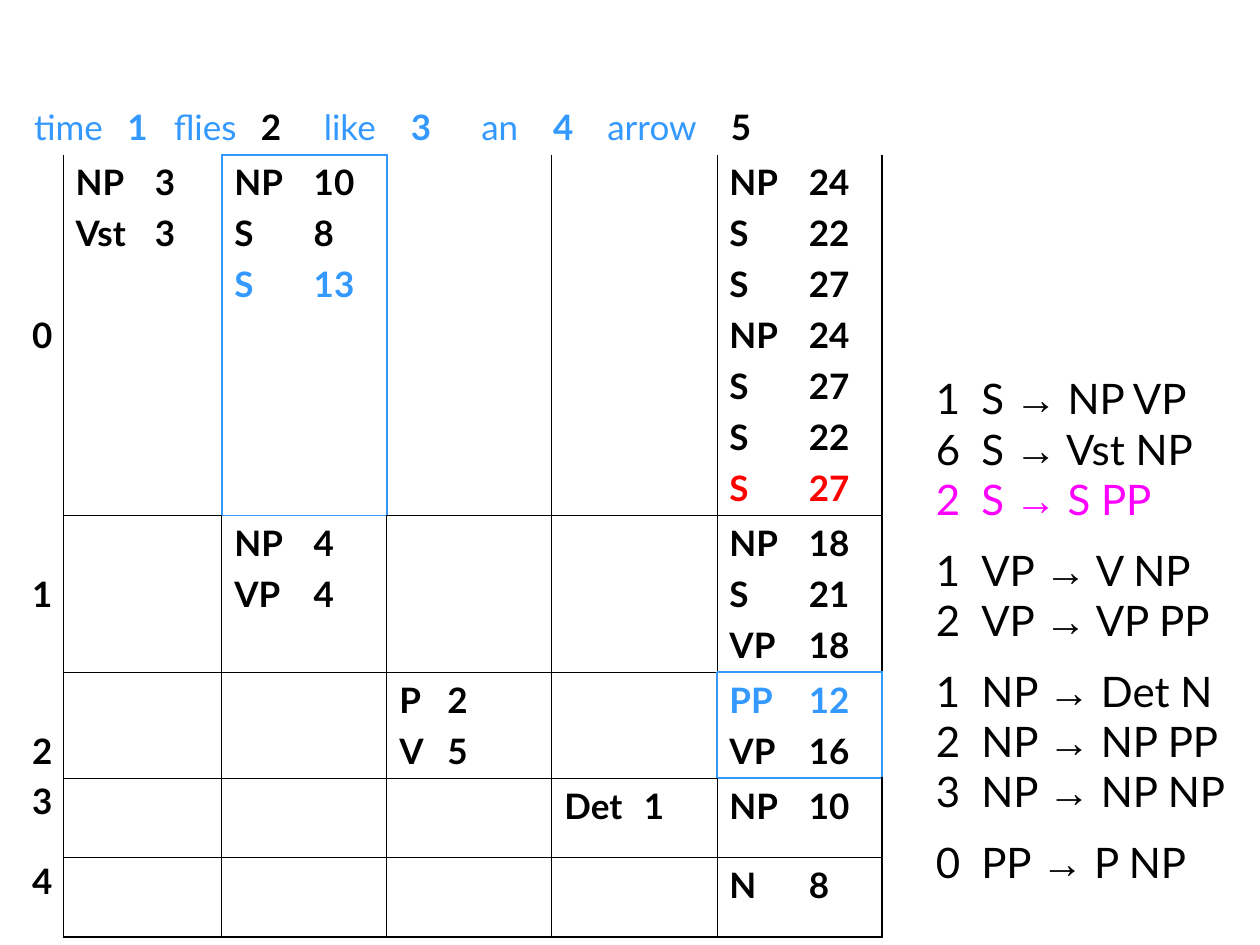
from lxml import etree
from pptx import Presentation
from pptx.dml.color import RGBColor
from pptx.enum.text import MSO_ANCHOR, MSO_AUTO_SIZE, PP_ALIGN
from pptx.oxml.ns import qn
from pptx.util import Inches, Pt

TOP, MIDDLE, BOTTOM = MSO_ANCHOR.TOP, MSO_ANCHOR.MIDDLE, MSO_ANCHOR.BOTTOM
CENTER = PP_ALIGN.CENTER
FIT_SHAPE = MSO_AUTO_SIZE.SHAPE_TO_FIT_TEXT
BLACK, BLUE, RED, PINK = "000000", "3399FF", "FF0000", "FF00FF"
THIN, THICK = 0.45, 1.08
NO_STYLE = "{2D5ABB26-0587-4C30-8999-92F81FD0307C}"

# Sentence: words and positions as (text, tab stop, bold, colour)
SENTENCE = [
    ("time", 0, False, BLUE), ("1", 0.74, True, BLUE),
    ("flies", 1.11, False, BLUE), ("2", 1.8, True, BLACK),
    ("like", 2.3, False, BLUE), ("3", 2.99, True, BLUE),
    ("an", 3.55, False, BLUE), ("4", 4.12, True, BLUE),
    ("arrow", 4.55, False, BLUE), ("5", 5.53, True, BLACK),
]
COLS = [0.33, 1.26, 1.31, 1.31, 1.31, 1.31]
ROWS = [0.44, 2.86, 1.24, 0.84, 0.63, 0.63]
# Row labels: text, anchor, line spacing
LABELS = [("0", MIDDLE, 1.0), ("1", MIDDLE, 1.0), ("2", BOTTOM, 1.0),
          ("3", TOP, 0.9), ("4", TOP, 0.9)]
# Parse chart: (row, column) -> entries of (category, weight[, colour])
CHART = {
    (1, 1): [("NP", 3), ("Vst", 3)],
    (1, 2): [("NP", 10), ("S", 8), ("S", 13, BLUE)],
    (1, 5): [("NP", 24), ("S", 22), ("S", 27), ("NP", 24), ("S", 27),
             ("S", 22), ("S", 27, RED)],
    (2, 2): [("NP", 4), ("VP", 4)],
    (2, 5): [("NP", 18), ("S", 21), ("VP", 18)],
    (3, 3): [("P", 2), ("V", 5)],
    (3, 5): [("PP", 12, BLUE), ("VP", 16)],
    (4, 4): [("Det", 1)],
    (4, 5): [("NP", 10)],
    (5, 5): [("N", 8)],
}
NARROW_CELL = (3, 3)
HIGHLIGHTED = [(1, 2), (3, 5)]
# Grammar, in groups: weight, left side, right side, colour
GRAMMAR = [
    [("1", "S", "NP VP", BLACK), ("6", "S", "Vst NP", BLACK), ("2", "S", "S PP", PINK)],
    [("1", "VP", "V NP", BLACK), ("2", "VP", "VP PP", BLACK)],
    [("1", "NP", "Det N", BLACK), ("2", "NP", "NP PP", BLACK), ("3", "NP", "NP NP", BLACK)],
    [("0", "PP", "P NP", BLACK)],
]


def rgb(hex_color):
    return RGBColor.from_string(hex_color)


def set_tabs(p, stops):
    tabs = etree.SubElement(p._p.get_or_add_pPr(), qn("a:tabLst"))
    for stop in stops:
        etree.SubElement(tabs, qn("a:tab"), pos=str(Inches(stop)), algn="l")


def set_font(font, size=20, color=BLACK, bold=None, name="Lato"):
    font.size, font.bold, font.name = Pt(size), bold, name
    font.color.rgb = rgb(color)


def add_run(p, text, name=None):
    r = p.add_run()
    r.text = text
    if name:
        r.font.name = name
    return r


def next_paragraph(tf, index):
    return tf.add_paragraph() if index else tf.paragraphs[0]


def draw_borders(cell, edges):
    tc_pr = cell._tc.get_or_add_tcPr()
    present = [side for side in "LRTB" if side in edges]
    for i, side in enumerate(present):
        color, width = edges[side]
        ln = etree.Element(qn("a:ln" + side), w=str(Pt(width)))
        fill = etree.SubElement(ln, qn("a:solidFill"))
        etree.SubElement(fill, qn("a:srgbClr"), val=color)
        tc_pr.insert(i, ln)


prs = Presentation()
prs.slide_width, prs.slide_height = Inches(10), Inches(7.5)
s = prs.slides.add_slide(prs.slide_layouts[6])

# Table frame
frame = s.shapes.add_table(len(ROWS), len(COLS), Inches(0.17), Inches(0.79),
                           Inches(sum(COLS)), Inches(sum(ROWS)))
table = frame.table
table.first_row = table.horz_banding = False
table._tbl.tblPr.find(qn("a:tableStyleId")).text = NO_STYLE
for i, width in enumerate(COLS):
    table.columns[i].width = Inches(width)
for i, height in enumerate(ROWS):
    table.rows[i].height = Inches(height)
for cell in table.iter_cells():
    cell.fill.background()

# Sentence row
table.cell(0, 0).merge(table.cell(0, len(COLS) - 1))
p = table.cell(0, 0).text_frame.paragraphs[0]
set_tabs(p, [stop for _, stop, _, _ in SENTENCE[1:]])
for i, (text, _, bold, color) in enumerate(SENTENCE):
    r = add_run(p, "\t" + text if i else text)
    set_font(r.font, color=color, bold=bold)

# Row labels
for row, (text, anchor, spacing) in enumerate(LABELS, 1):
    cell = table.cell(row, 0)
    cell.vertical_anchor = anchor
    cell.margin_left = cell.margin_right = Inches(0.05)
    p = cell.text_frame.paragraphs[0]
    p.alignment, p.line_spacing = CENTER, spacing
    set_font(p.font, bold=True)
    add_run(p, text)

# Chart entries
for position, entries in CHART.items():
    tf = table.cell(*position).text_frame
    for i, (category, weight, *color) in enumerate(entries):
        p = next_paragraph(tf, i)
        if i:
            p.space_before = Pt(5)
        set_tabs(p, [0.38 if position == NARROW_CELL else 0.63])
        set_font(p.font, color=color[0] if color else BLACK, bold=True)
        add_run(p, f"{category}\t{weight}")

# Grid lines, with highlighted cells outlined on both sides of each edge
last_row, last_col = len(ROWS) - 1, len(COLS) - 1
borders = {(row, 0): {"R": (BLACK, THIN)} for row in range(1, last_row + 1)}
for row in range(1, last_row + 1):
    for col in range(1, last_col + 1):
        edges = {"L": (BLACK, THIN),
                 "R": (BLACK, THICK if col == last_col else THIN),
                 "B": (BLACK, THICK if row == last_row else THIN)}
        if row > 1:
            edges["T"] = (BLACK, THIN)
        borders[row, col] = edges
for row, col in HIGHLIGHTED:
    borders[row, col] = dict.fromkeys("LRTB", (BLUE, THICK))
    for neighbour, side in [((row, col - 1), "R"), ((row, col + 1), "L"),
                            ((row - 1, col), "B"), ((row + 1, col), "T")]:
        if neighbour in borders:
            borders[neighbour][side] = (BLUE, THICK)
for position, edges in borders.items():
    draw_borders(table.cell(*position), edges)

# Grammar rules
tf = s.shapes.add_textbox(Inches(7.33), Inches(2.91), Inches(2.67), Inches(4.18)).text_frame
tf.word_wrap = True
tf.auto_size = FIT_SHAPE
count = 0
for group in GRAMMAR:
    for i, (weight, left, right, color) in enumerate(group):
        p = next_paragraph(tf, count)
        if count and i == 0:
            p.line_spacing = 1.4
        set_tabs(p, [0.36])
        set_font(p.font, size=24, color=color)
        add_run(p, f"{weight}\t{left} ")
        add_run(p, "→", "Arial")
        add_run(p, f" {right}")
        count += 1

prs.save("out.pptx")
